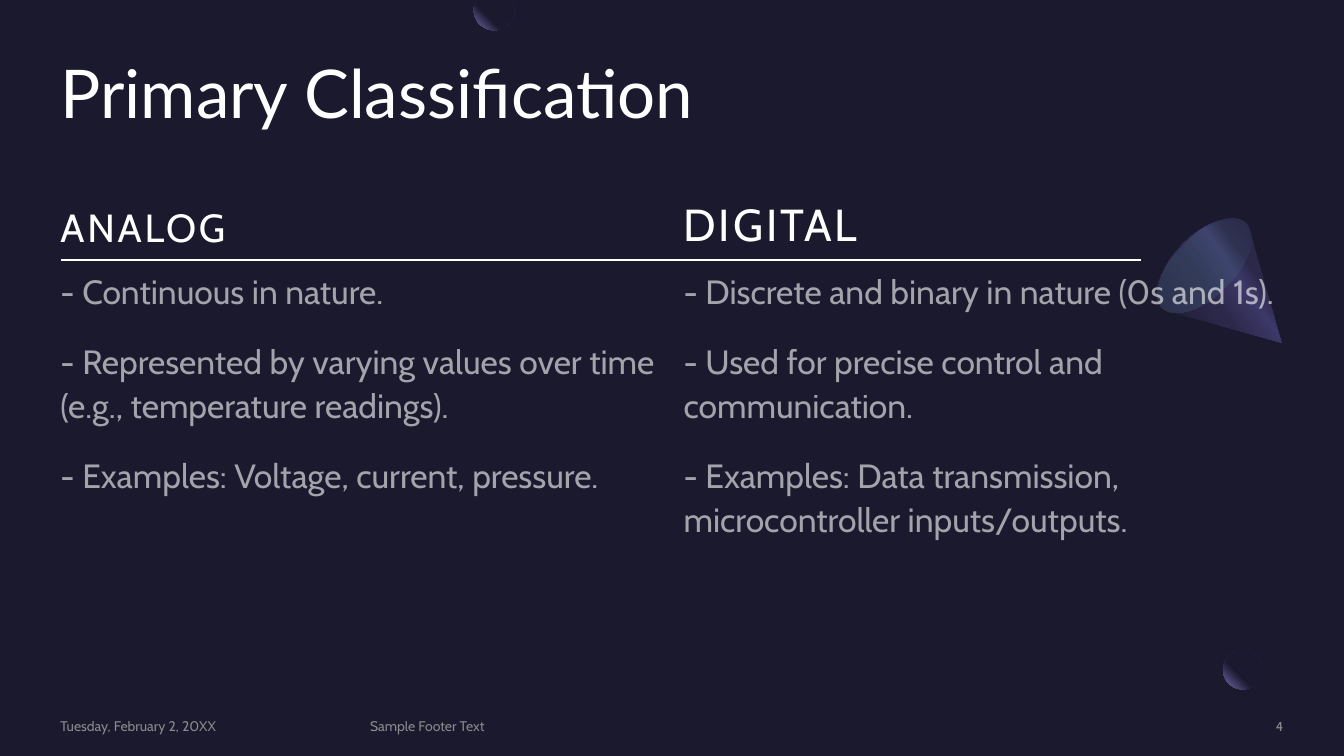
import math

import lxml.etree
import pptx
import pptx.dml.color
import pptx.enum.shapes
import pptx.enum.text
import pptx.oxml.ns
import pptx.util

Inches = pptx.util.Inches
Pt = pptx.util.Pt
RGBColor = pptx.dml.color.RGBColor
qn = pptx.oxml.ns.qn
Anchor = pptx.enum.text.MSO_ANCHOR
Align = pptx.enum.text.PP_ALIGN
Preset = pptx.enum.shapes.MSO_SHAPE

NIGHT = RGBColor(0x1B, 0x19, 0x2E)
INDIGO = RGBColor(0x2C, 0x28, 0x4A)
VIOLET = RGBColor(0x3C, 0x38, 0x67)
PLUM = RGBColor(0x45, 0x40, 0x75)
LAVENDER = RGBColor(0x77, 0x71, 0xB2)
MINT = RGBColor(0x5B, 0xEF, 0xC1)
WHITE = RGBColor(0xFF, 0xFF, 0xFF)
GREY = RGBColor(0xA6, 0xA6, 0xA6)

LEFT = 0.6
COLUMN_STEP = 6.18
COLUMN_WIDTH = 5.95
COLUMNS = [
    ("ANALOG", 28, [
        "- Continuous in nature.",
        "- Represented by varying values over time (e.g., temperature readings).",
        "- Examples: Voltage, current, pressure.",
    ]),
    ("DIGITAL", 32, [
        "- Discrete and binary in nature (0s and 1s).",
        "- Used for precise control and communication.",
        "- Examples: Data transmission, microcontroller inputs/outputs.",
    ]),
]
FOOTERS = [
    ("Tuesday, February 2, 20XX", 0.6, 2.88, Align.LEFT),
    ("Sample Footer Text", 3.67, 6.98, Align.LEFT),
    ("4", 10.88, 1.85, Align.RIGHT),
]


def add_alpha(color_parent, percent):
    color = next(color_parent.iter(qn("a:srgbClr")))
    lxml.etree.SubElement(color, qn("a:alpha")).set("val", str(percent * 1000))


def fill_gradient(shape, stops, angle=None):
    """Stops are (position, colour, opacity); without an angle the gradient is radial."""
    shape.fill.gradient()
    gradient = shape._element.spPr.find(qn("a:gradFill"))
    for child in list(gradient):
        gradient.remove(child)
    stop_list = lxml.etree.SubElement(gradient, qn("a:gsLst"))
    for position, color, opacity in stops:
        stop = lxml.etree.SubElement(stop_list, qn("a:gs"), pos=str(position * 1000))
        lxml.etree.SubElement(stop, qn("a:srgbClr"), val=str(color))
        if opacity < 100:
            add_alpha(stop, opacity)
    if angle is None:
        radial = lxml.etree.SubElement(gradient, qn("a:path"), path="circle")
        lxml.etree.SubElement(radial, qn("a:fillToRect"), l="100000", b="100000")
    else:
        lxml.etree.SubElement(gradient, qn("a:lin"), ang=str(angle * 60000), scaled="0")


def finish_plain(shape):
    shape.shadow.inherit = False
    shape.line.fill.background()
    return shape


def add_preset(slide, preset, left, top, width, height):
    box = [Inches(value) for value in (left, top, width, height)]
    return finish_plain(slide.shapes.add_shape(preset, *box))


def add_outline(slide, points):
    corners = [(Inches(x), Inches(y)) for x, y in points]
    builder = slide.shapes.build_freeform(*corners[0])
    builder.add_line_segments(corners[1:], close=True)
    return finish_plain(builder.convert_to_shape())


def curve_points(start, control1, control2, end, steps=10):
    """Points along a cubic curve, without its start."""
    for step in range(1, steps + 1):
        t = step / steps
        weights = ((1 - t) ** 3, 3 * t * (1 - t) ** 2, 3 * t * t * (1 - t), t ** 3)
        knots = (start, control1, control2, end)
        yield tuple(sum(w * knot[axis] for w, knot in zip(weights, knots)) for axis in (0, 1))


def add_lower_moon(slide, left, top):
    moon = add_preset(slide, Preset.OVAL, left, top, 0.39, 0.39)
    fill_gradient(moon, [(60, NIGHT, 100), (100, LAVENDER, 100)])
    veil = add_preset(slide, Preset.RECTANGLE, left + 0.39, top - 0.08, 0.41, 0.39)
    veil.fill.solid()
    veil.fill.fore_color.rgb = NIGHT
    add_alpha(veil._element.spPr, 80)


def add_upper_moon(slide, center_x, center_y, radius):
    """A disc cut off by the top edge of the slide."""
    start = -math.asin(center_y / radius)
    sweep = math.pi - 2 * start
    angles = [start + sweep * step / 40 for step in range(41)]
    moon = add_outline(slide, [(center_x + radius * math.cos(angle),
                                max(0, center_y + radius * math.sin(angle)))
                               for angle in angles])
    fill_gradient(moon, [(60, NIGHT, 100), (100, LAVENDER, 100)])


def add_cone(slide, left, top):
    outline = [(1.3, 1.3), (0.17, 0.98), (0.11, 0.95)]
    for curve in [((0, 0.83), (0.09, 0.55), (0.32, 0.32)),
                  ((0.55, 0.09), (0.83, 0), (0.95, 0.11)),
                  ((0.96, 0.13), (0.97, 0.14), (0.98, 0.16))]:
        outline.extend(curve_points(outline[-1], *curve))
    side = add_outline(slide, [(left + x, top + y) for x, y in outline])
    fill_gradient(side, [(30, INDIGO, 100), (40, VIOLET, 100),
                         (60, INDIGO, 100), (100, NIGHT, 100)], angle=145)
    base = add_preset(slide, Preset.OVAL, left + 0.24, top - 0.06, 0.59, 1.18)
    base.rotation = 225
    fill_gradient(base, [(0, PLUM, 33), (100, MINT, 0)], angle=90)


def write_text(shape, box, lines, size, color, anchor=Anchor.TOP, font="Cabin",
               opacity=100, align=Align.LEFT, line_spacing=None, before=0, after=0,
               tracking=0):
    shape.left, shape.top, shape.width, shape.height = [Inches(value) for value in box]
    frame = shape.text_frame
    frame.text = "\n".join(lines)
    frame.word_wrap = True
    frame.auto_size = pptx.enum.text.MSO_AUTO_SIZE.NONE
    frame.vertical_anchor = anchor
    frame.margin_left = frame.margin_top = frame.margin_right = frame.margin_bottom = 0
    for index, paragraph in enumerate(frame.paragraphs):
        properties = paragraph._p.get_or_add_pPr()
        properties.set("marL", "0")
        properties.set("indent", "0")
        lxml.etree.SubElement(properties, qn("a:buNone"))
        paragraph.alignment = align
        paragraph.line_spacing = line_spacing
        paragraph.space_before = Pt(before if index else 0)
        paragraph.space_after = Pt(after)
        paragraph.font.name = font
        paragraph.font.size = Pt(size)
        paragraph.font.bold = False
        paragraph.font.color.rgb = color
        if opacity < 100:
            add_alpha(paragraph.font._element, opacity)
        if tracking:
            paragraph.font._element.set("spc", str(tracking * 100))


def add_column(slide, heading, body, left, column):
    title, size, points = column
    write_text(heading, (left, 1.89, COLUMN_WIDTH, 0.59), [title], size, WHITE,
               anchor=Anchor.BOTTOM, line_spacing=1.1, after=8, tracking=2)
    write_text(body, (left, 2.65, COLUMN_WIDTH, 3.84), points, 24, WHITE,
               opacity=60, line_spacing=1.1, before=10, after=8)


def add_rule(slide, left, right, y):
    rule = slide.shapes.add_connector(pptx.enum.shapes.MSO_CONNECTOR.STRAIGHT,
                                      Inches(left), Inches(y), Inches(right), Inches(y))
    rule.line.color.rgb = WHITE
    rule.line.width = Pt(1)
    lxml.etree.SubElement(rule._element.spPr, qn("a:effectLst"))


def add_footers(slide, top):
    for text, left, width, align in FOOTERS:
        footer = slide.shapes.add_textbox(0, 0, 0, 0)
        write_text(footer, (left, top, width, 0.17), [text], 10, GREY,
                   anchor=Anchor.MIDDLE, opacity=80, align=align)


def add_comparison_slide(presentation):
    slide = presentation.slides.add_slide(presentation.slide_layouts[4])
    slide.background.fill.solid()
    slide.background.fill.fore_color.rgb = NIGHT
    placeholders = list(slide.placeholders)
    add_lower_moon(slide, 12.13, 6.45)
    add_cone(slide, 11.41, 2.1)
    for placeholder in placeholders:  # text stands in front of the cone
        slide.shapes._spTree.append(placeholder._element)
    title, *column_parts = placeholders
    write_text(title, (LEFT, 0.6, 12.14, 1.46), ["Primary Classification"], 48, WHITE,
               font="Lato", line_spacing=0.9)
    for index, column in enumerate(COLUMNS):
        heading, body = column_parts[2 * index:2 * index + 2]
        add_column(slide, heading, body, LEFT + index * COLUMN_STEP, column)
    add_footers(slide, 7.12)
    add_upper_moon(slide, 4.9, 0.1, 0.2)
    add_rule(slide, 0.61, 11.32, 2.58)


def main():
    presentation = pptx.Presentation()
    presentation.slide_width = Inches(13.33)
    presentation.slide_height = Inches(7.5)
    add_comparison_slide(presentation)
    presentation.save("out.pptx")


if __name__ == "__main__":
    main()
